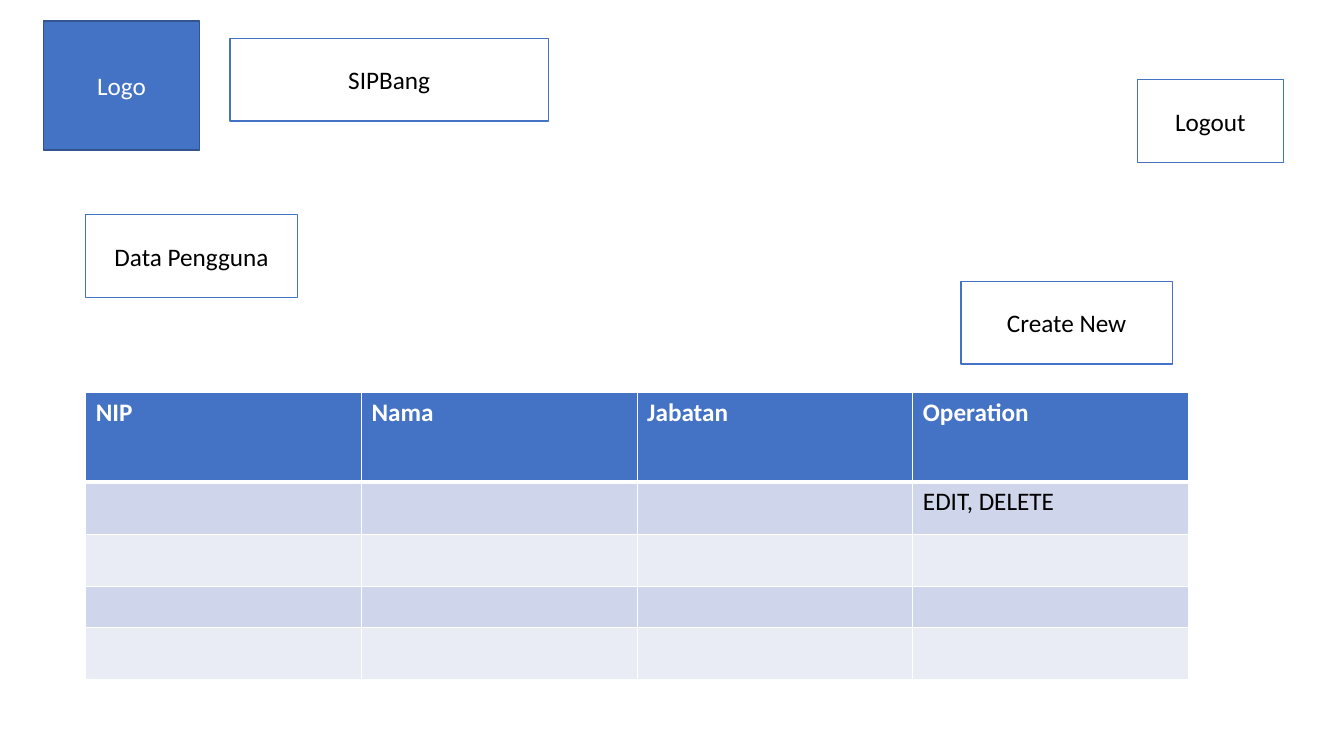
import pptx
import pptx.util
import pptx.dml.color
import pptx.enum.shapes
import pptx.enum.text
import pptx.oxml
import pptx.oxml.ns

Inches = pptx.util.Inches
Pt = pptx.util.Pt
RGBColor = pptx.dml.color.RGBColor

WHITE = RGBColor(0xFF, 0xFF, 0xFF)
BLACK = RGBColor(0, 0, 0)
BLUE = RGBColor(0x44, 0x72, 0xC4)
DARK_BLUE = RGBColor(0x32, 0x54, 0x91)
BAND_DARK = RGBColor(0xCF, 0xD5, 0xEA)
BAND_LIGHT = RGBColor(0xE9, 0xEB, 0xF5)

OUTLINED = (WHITE, BLUE, BLACK)
SOLID = (BLUE, DARK_BLUE, WHITE)
BOXES = [
    ("Data Pengguna", (0.85, 2.13, 2.1, 0.82), OUTLINED),
    ("Logo", (0.43, 0.21, 1.55, 1.28), SOLID),
    ("SIPBang", (2.28, 0.38, 3.16, 0.82), OUTLINED),
    ("Logout", (11.28, 0.79, 1.45, 0.82), OUTLINED),
    ("Create New", (9.53, 2.79, 2.1, 0.82), OUTLINED),
]
USERS = [
    ["NIP", "Nama", "Jabatan", "Operation"],
    ["", "", "", "EDIT, DELETE"],
    [""] * 4,
    [""] * 4,
    [""] * 4,
]
ROW_HEIGHTS = [0.89, 0.52, 0.52, 0.4, 0.52]
TABLE_LEFT, TABLE_TOP, TABLE_WIDTH = 0.85, 3.89, 10.94


def format_text(frame, color, bold=False):
    for paragraph in frame.paragraphs:
        for run in paragraph.runs:
            run.font.name = "Calibri"
            run.font.size = Pt(18)
            run.font.bold = bold
            run.font.color.rgb = color


def add_box(slide, label, place, colors):
    fill, line, ink = colors
    box = slide.shapes.add_shape(
        pptx.enum.shapes.MSO_SHAPE.RECTANGLE, *map(Inches, place))
    box.shadow.inherit = False
    box.fill.solid()
    box.fill.fore_color.rgb = fill
    box.line.color.rgb = line
    box.line.width = Pt(1)
    frame = box.text_frame
    frame.text = label
    frame.vertical_anchor = pptx.enum.text.MSO_ANCHOR.MIDDLE
    frame.paragraphs[0].alignment = pptx.enum.text.PP_ALIGN.CENTER
    format_text(frame, ink)


def set_borders(cell, widths):
    properties = cell._tc.get_or_add_tcPr()
    for index, (side, width) in enumerate(widths.items()):
        properties.insert(index, pptx.oxml.parse_xml(
            f'<a:{side} {pptx.oxml.ns.nsdecls("a")} w="{Pt(width)}">'
            f'<a:solidFill><a:srgbClr val="{WHITE}"/></a:solidFill></a:{side}>'))


def add_users_table(slide):
    table = slide.shapes.add_table(
        len(USERS), len(USERS[0]), Inches(TABLE_LEFT), Inches(TABLE_TOP),
        Inches(TABLE_WIDTH), Inches(sum(ROW_HEIGHTS))).table
    for column in table.columns:
        column.width = Inches(TABLE_WIDTH / len(USERS[0]))
    for r, (entries, height) in enumerate(zip(USERS, ROW_HEIGHTS)):
        table.rows[r].height = Inches(height)
        header = r == 0
        fill = BLUE if header else (BAND_DARK if r % 2 else BAND_LIGHT)
        for c, entry in enumerate(entries):
            cell = table.cell(r, c)
            cell.text = entry
            cell.fill.solid()
            cell.fill.fore_color.rgb = fill
            format_text(cell.text_frame, WHITE if header else BLACK, header)
            set_borders(cell, {"lnL": 1, "lnR": 1, "lnT": 3 if r == 1 else 1,
                               "lnB": 3 if header else 1})


def main():
    deck = pptx.Presentation()
    deck.slide_width = Inches(13.33)
    deck.slide_height = Inches(7.5)
    slide = deck.slides.add_slide(deck.slide_layouts[6])
    for label, place, colors in BOXES:
        add_box(slide, label, place, colors)
    add_users_table(slide)
    deck.save("out.pptx")


if __name__ == "__main__":
    main()
